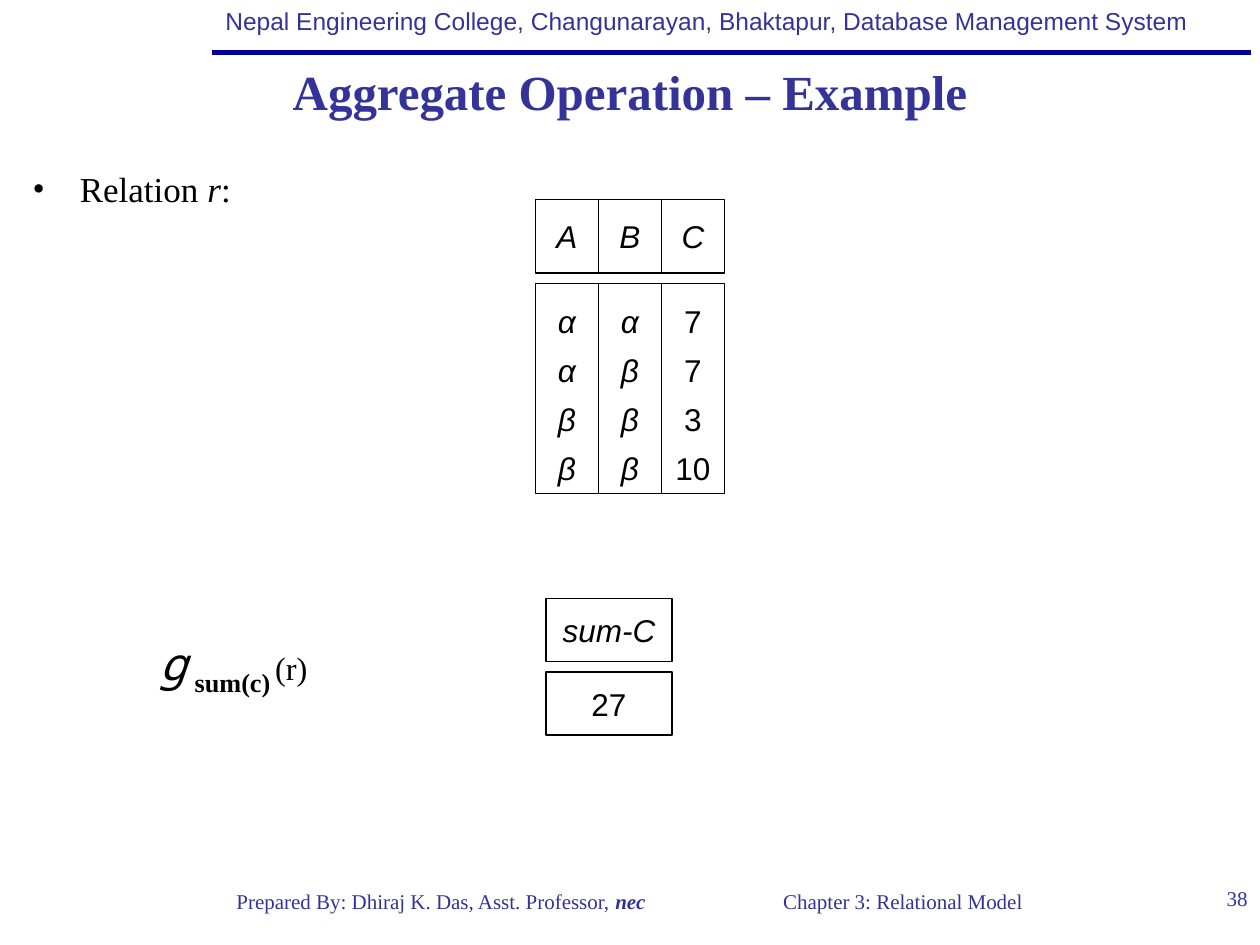
from lxml.etree import SubElement
from pptx import Presentation
from pptx.dml.color import RGBColor
from pptx.enum.shapes import MSO_CONNECTOR as Connector, MSO_SHAPE as Shape
from pptx.enum.text import MSO_ANCHOR as Anchor, MSO_AUTO_SIZE as Fit, PP_ALIGN as Align
from pptx.oxml.ns import qn
from pptx.util import Pt

NAVY = RGBColor(0x00, 0x00, 0x99)
INDIGO = RGBColor(0x33, 0x33, 0x99)
BLACK = RGBColor(0x00, 0x00, 0x00)
WHITE = RGBColor(0xFF, 0xFF, 0xFF)
SANS = "Arial"
SERIF = "Times New Roman"
MONO = "Noto Sans Mono"


def add_span(para, text, size, font, color, bold=False, italic=False, baseline=0):
    span = para.add_run()
    span.text = text
    span.font.size = Pt(size)
    span.font.name = font
    span.font.color.rgb = color
    span.font.bold = bold
    span.font.italic = italic
    if baseline:
        span._r.get_or_add_rPr().set("baseline", str(baseline * 1000))


def add_label(page, box, align=Align.LEFT, wrap=False):
    frame = page.shapes.add_textbox(*map(Pt, box)).text_frame
    frame.word_wrap = wrap
    para = frame.paragraphs[0]
    para.alignment = align
    return para


def set_hanging_indent(para, indent):
    properties = para._p.get_or_add_pPr()
    properties.set("marL", str(Pt(indent)))
    properties.set("indent", str(-Pt(indent)))
    return properties


def add_header(page, box):
    left, top, width, height = box
    rule = page.shapes.add_connector(
        Connector.STRAIGHT, Pt(left), Pt(top + height), Pt(left + width), Pt(top + height))
    rule.line.color.rgb = NAVY
    rule.line.width = Pt(3)
    SubElement(rule._element.spPr, qn("a:effectLst"))
    para = add_label(page, (left + 0.7, top, 565, 24.5))
    add_span(para, "Nepal Engineering College, Changunarayan, Bhaktapur, Database Management System",
             14, SANS, INDIGO)


def add_title(page, box):
    title = page.shapes.title
    title.left, title.top, title.width, title.height = map(Pt, box)
    frame = title.text_frame
    frame.auto_size = Fit.NONE
    frame.vertical_anchor = Anchor.MIDDLE
    para = frame.paragraphs[0]
    para.alignment = Align.CENTER
    add_span(para, "Aggregate Operation – Example", 28, SERIF, INDIGO, bold=True)


def add_relation_name(page, box):
    para = add_label(page, box, wrap=True)
    properties = set_hanging_indent(para, 27)
    SubElement(properties, qn("a:buFont")).set("typeface", SERIF)
    SubElement(properties, qn("a:buChar")).set("char", "•")
    for text, italic in (("Relation ", False), ("r", True), (":", False)):
        add_span(para, text, 20, SERIF, BLACK, italic=italic)


def add_cell(page, box, values, italic, spacing=1.0):
    cell = page.shapes.add_shape(Shape.RECTANGLE, *map(Pt, box))
    cell.shadow.inherit = False
    cell.fill.solid()
    cell.fill.fore_color.rgb = WHITE
    cell.line.color.rgb = BLACK
    cell.line.width = Pt(0.75)
    frame = cell.text_frame
    frame.word_wrap = False
    frame.vertical_anchor = Anchor.MIDDLE
    for index, value in enumerate(values):
        para = frame.add_paragraph() if index else frame.paragraphs[0]
        para.alignment = Align.CENTER
        para.line_spacing = spacing
        add_span(para, value, 18, SANS, BLACK, italic=italic)


def add_relation(page, box, columns, head_height, spacing=1.0):
    left, top, width, height = box
    column_width = width / len(columns)
    body_top = head_height + 6
    for index, (name, values, italic) in enumerate(columns):
        x = left + index * column_width
        add_cell(page, (x, top, column_width, head_height), [name], True)
        add_cell(page, (x, top + body_top, column_width, height - body_top),
                 values, italic, spacing)


def add_expression(page, box):
    para = add_label(page, box, wrap=True)
    set_hanging_indent(para, 27)
    para.line_spacing = 0.9
    add_span(para, "g", 25.9, MONO, BLACK, italic=True)
    add_span(para, " ", 18.5, SERIF, BLACK, bold=True)
    add_span(para, "sum(c)", 25.9, SERIF, BLACK, bold=True, baseline=-25)
    add_span(para, " ", 18.5, SERIF, BLACK, bold=True, baseline=-25)
    add_span(para, "(r)", 18.5, SERIF, BLACK)


def add_footer(page, box):
    left, top, width, height = box
    author = add_label(page, (left, top, 300, height), Align.CENTER)
    add_span(author, "Prepared By: Dhiraj K. Das, Asst. Professor, ", 12, SERIF, INDIGO)
    add_span(author, "nec", 12, SERIF, INDIGO, bold=True, italic=True)
    chapter = add_label(page, (left + 264, top, 300, height), Align.CENTER)
    add_span(chapter, "Chapter 3: Relational Model", 12, SERIF, INDIGO)
    number = add_label(page, (left + width - 42, top - 1.5, 42, height), Align.RIGHT, True)
    add_span(number, "38", 12, SERIF, INDIGO)


def main():
    deck = Presentation()
    deck.slide_width, deck.slide_height = Pt(720), Pt(540)
    page = deck.slides.add_slide(deck.slide_layouts[5])
    add_header(page, (121, 0, 594, 30))
    add_title(page, (0, 31, 720, 42))
    add_relation_name(page, (11.5, 92, 162, 42.5))
    add_relation(page, (306, 114, 108, 168), [
        ("A", ["α", "α", "β", "β"], True),
        ("B", ["α", "β", "β", "β"], True),
        ("C", ["7", "7", "3", "10"], False),
    ], 42, 1.3)
    add_expression(page, (84, 360, 127.5, 44))
    add_relation(page, (312, 342, 72, 78), [("sum-C", ["27"], False)], 36)
    add_footer(page, (102, 504, 618, 36))
    deck.save("out.pptx")


if __name__ == "__main__":
    main()
